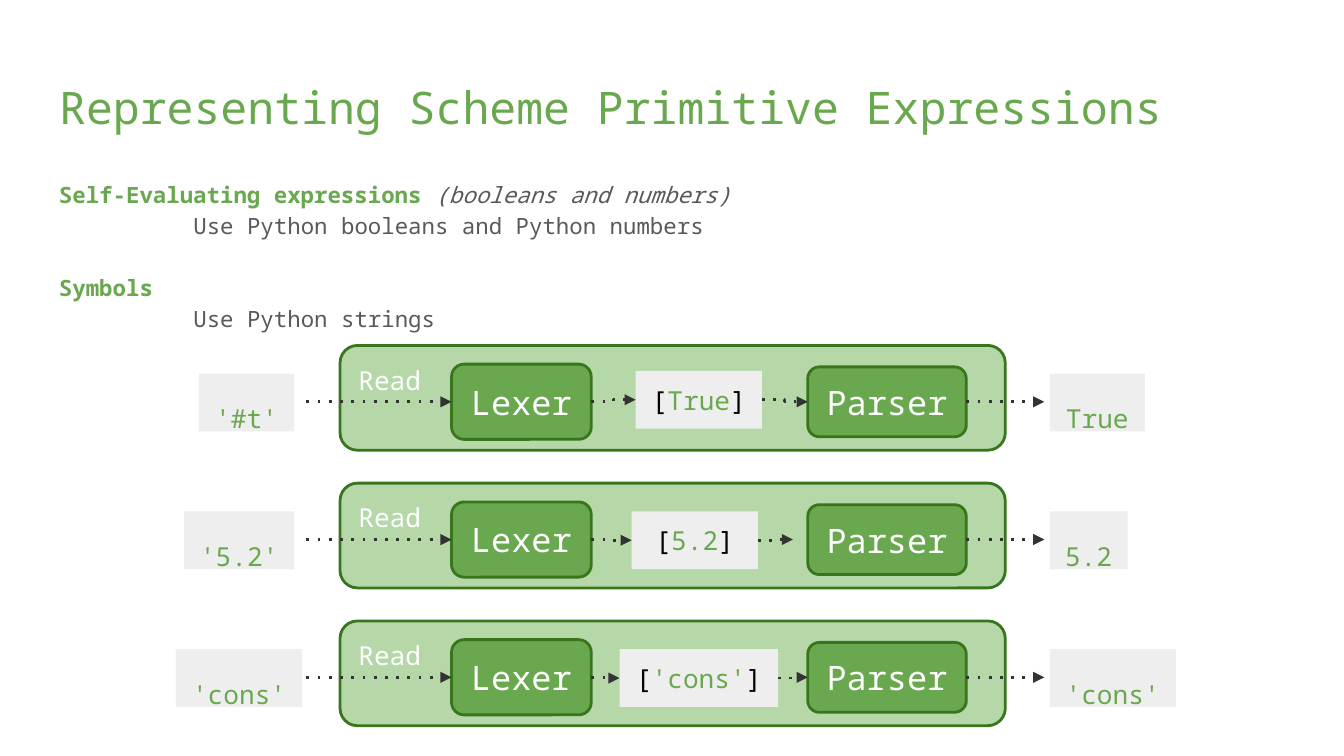
"""Build the slide on representing Scheme primitive expressions."""
from lxml import etree
from pptx import Presentation
from pptx.dml.color import RGBColor
from pptx.enum.dml import MSO_LINE
from pptx.enum.shapes import MSO_CONNECTOR, MSO_SHAPE
from pptx.enum.text import MSO_ANCHOR, PP_ALIGN
from pptx.oxml.ns import qn
from pptx.util import Inches, Pt

FONT = "Noto Sans Mono"
GREEN, DARK_GREEN, PALE_GREEN = "6AA84F", "38761D", "B6D7A8"
WHITE, BLACK, GRAY, LIGHT, ARROW = "FFFFFF", "000000", "595959", "EEEEEE", "333333"
ROUNDED, RECTANGLE = MSO_SHAPE.ROUNDED_RECTANGLE, MSO_SHAPE.RECTANGLE
rgb = RGBColor.from_string


def add_box(kind, left, top, width, height, fill, runs, size, anchor=MSO_ANCHOR.TOP,
            align=PP_ALIGN.CENTER, spacing=1.0):
    box = slide.shapes.add_shape(kind, Inches(left), Inches(top), Inches(width), Inches(height))
    box.shadow.inherit = False
    box.fill.solid()
    box.fill.fore_color.rgb = rgb(fill)
    if kind == ROUNDED:
        box.line.color.rgb = rgb(DARK_GREEN)
        box.line.width = Pt(1.5)
    else:
        box.line.fill.background()
    frame = box.text_frame
    frame.margin_left = frame.margin_right = frame.margin_top = frame.margin_bottom = Inches(0.1)
    frame.vertical_anchor = anchor
    paragraph = frame.paragraphs[0]
    paragraph.alignment = align
    paragraph.line_spacing = spacing
    paragraph.font.name, paragraph.font.size = FONT, Pt(size)
    for text, color in runs:
        run = paragraph.add_run()
        run.text = text
        run.font.color.rgb = rgb(color)
    return box


def add_arrow(start, end, y, source=None, target=None):
    arrow = slide.shapes.add_connector(
        MSO_CONNECTOR.ELBOW, Inches(start), Inches(y), Inches(end), Inches(y))
    if source is not None:
        arrow.begin_connect(source, 3)
    if target is not None:
        arrow.end_connect(target, 1)
    arrow.line.color.rgb = rgb(ARROW)
    arrow.line.width = Pt(1.5)
    arrow.line.dash_style = MSO_LINE.ROUND_DOT
    line = arrow.line._get_or_add_ln()
    line.find(qn("a:prstDash")).set("val", "dot")
    etree.SubElement(line, qn("a:tailEnd"), type="triangle")
    etree.SubElement(arrow._element.spPr, qn("a:effectLst"))


presentation = Presentation()
presentation.slide_width = Inches(10)
presentation.slide_height = Inches(10 * 9 / 16)
slide = presentation.slides.add_slide(presentation.slide_layouts[5])

title = slide.shapes.title
title.left, title.top, title.width, title.height = Inches(0.34), Inches(0.49), Inches(9.32), Inches(0.63)
title.text_frame.text = "Representing Scheme Primitive Expressions"
heading = title.text_frame.paragraphs[0]
heading.alignment = PP_ALIGN.LEFT
heading.font.name, heading.font.size = FONT, Pt(24)
heading.font.color.rgb = rgb(GREEN)

rules = slide.shapes.add_textbox(Inches(0.34), Inches(1.22), Inches(9.32), Inches(1.24))
for frame in (title.text_frame, rules.text_frame):
    frame.word_wrap = True
    frame.vertical_anchor = MSO_ANCHOR.TOP
    frame.margin_left = frame.margin_right = frame.margin_top = frame.margin_bottom = Inches(0.1)

rule_lines = [
    [("Self-Evaluating expressions ", GREEN, True, False), ("(booleans and numbers)", GRAY, False, True)],
    [("\tUse Python booleans and Python numbers", GRAY, False, False)],
    [("Symbols", GREEN, True, False)],
    [("\tUse Python strings", GRAY, False, False)],
]
for index, runs in enumerate(rule_lines):
    paragraph = rules.text_frame.add_paragraph() if index else rules.text_frame.paragraphs[0]
    paragraph.line_spacing = 1.15
    tabs = etree.SubElement(paragraph._p.get_or_add_pPr(), qn("a:tabLst"))
    etree.SubElement(tabs, qn("a:tab"), pos=str(Inches(1)), algn="l")
    paragraph.font.name, paragraph.font.size = FONT, Pt(12)
    for text, color, bold, italic in runs:
        run = paragraph.add_run()
        run.text = text
        run.font.color.rgb = rgb(color)
        run.font.bold, run.font.italic = bold, italic
rules.text_frame.paragraphs[2].space_before = Pt(16.6)

examples = [
    ("'#t'", 1.48, 0.71, "True", 4.73, 0.94, 0.19, 0.71),
    ("'5.2'", 1.37, 0.82, "5.2", 4.7, 0.94, 0.21, 0.58),
    ("'cons'", 1.31, 0.94, "'cons'", 4.61, 1.18, 0.21, 0.94),
]
for row, (source, source_left, source_width, value, token_left, token_width, token_drop,
          value_width) in enumerate(examples):
    top = 2.57 + 2.05 * row / 2
    middle = top + 0.42
    add_box(ROUNDED, 2.53, top, 4.95, 0.78, PALE_GREEN, [("Read", WHITE)], 14, align=PP_ALIGN.LEFT)
    lexer = add_box(ROUNDED, 3.36, top + 0.14, 1.04, 0.56, GREEN, [("Lexer", WHITE)], 18, MSO_ANCHOR.MIDDLE)
    parser = add_box(ROUNDED, 6.01, top + 0.16, 1.18, 0.52, GREEN, [("Parser", WHITE)], 18, MSO_ANCHOR.MIDDLE)
    add_box(RECTANGLE, source_left, top + 0.21, source_width, 0.43, LIGHT, [(source, GREEN)], 14, spacing=1.5)
    tokens = add_box(RECTANGLE, token_left, top + token_drop, token_width, 0.43, LIGHT,
                     [("[", BLACK), (value, GREEN), ("]", BLACK)], 14)
    add_box(RECTANGLE, 7.81, top + 0.21, value_width, 0.43, LIGHT, [(value, GREEN)], 14, spacing=1.5)
    add_arrow(2.28, 3.36, middle, target=lexer)
    add_arrow(4.4, token_left, middle, lexer, tokens)
    if value == "5.2":
        add_arrow(token_left + token_width, 5.9, middle, tokens)
    else:
        add_arrow(token_left + token_width, 6.01, middle, tokens, parser)
    add_arrow(7.19, 7.77, middle, parser)

presentation.save("out.pptx")
